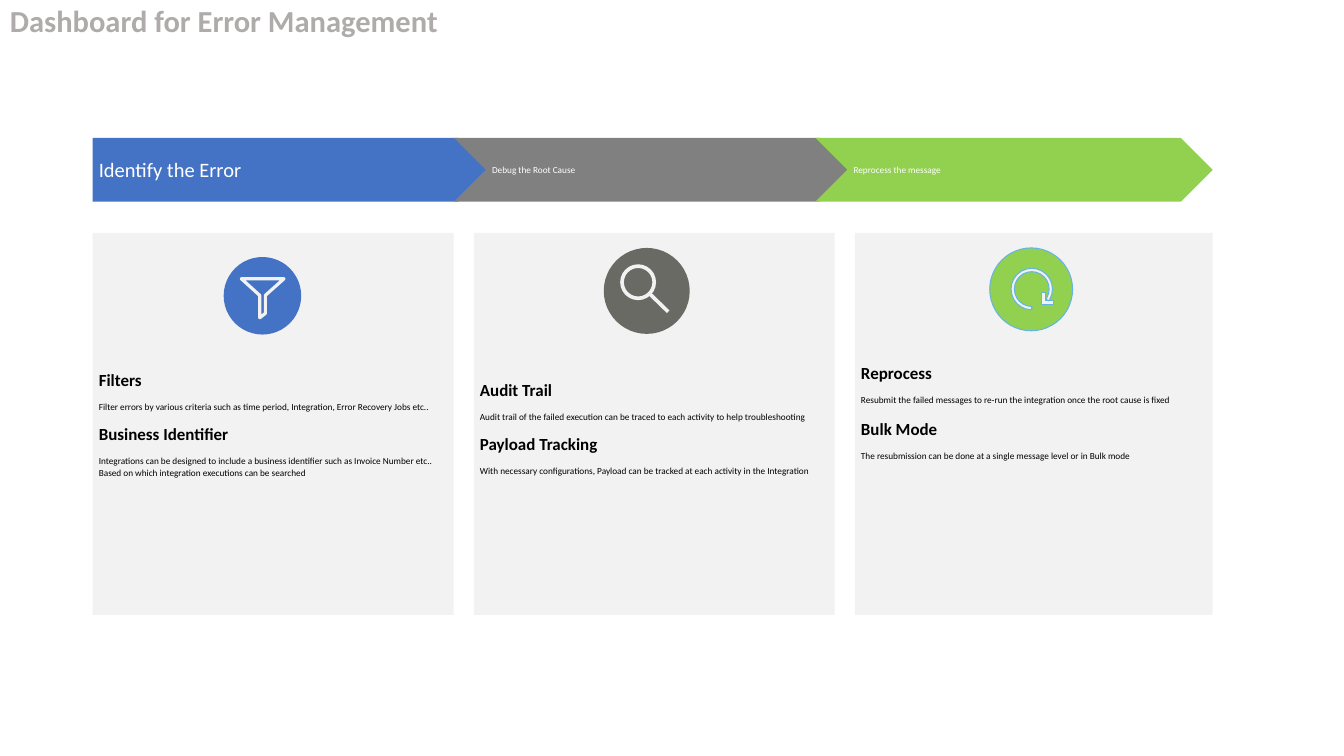
from pptx import Presentation
from pptx.dml.color import RGBColor
from pptx.enum.shapes import MSO_CONNECTOR, MSO_SHAPE
from pptx.enum.text import MSO_ANCHOR, PP_ALIGN
from pptx.oxml import parse_xml
from pptx.oxml.ns import nsdecls
from pptx.util import Pt

BLUE = RGBColor(0x44, 0x72, 0xC4)
GREY = RGBColor(0x80, 0x80, 0x80)
GREEN = RGBColor(0x92, 0xD0, 0x50)
DARK_GREY = RGBColor(0x6A, 0x6A, 0x65)
PANEL_GREY = RGBColor(0xF2, 0xF2, 0xF2)
TITLE_GREY = RGBColor(0xAF, 0xAB, 0xAB)
SKY = RGBColor(0x62, 0xB5, 0xE5)
WHITE = RGBColor(0xFF, 0xFF, 0xFF)
BLACK = RGBColor(0x00, 0x00, 0x00)

LEFT = 66.2
INSET = 4.4

deck = Presentation()
deck.slide_width, deck.slide_height = Pt(960), Pt(540)
page = deck.slides.add_slide(deck.slide_layouts[6])


def paint(shape, fill=None, line=None, weight=0.75):
    shape.shadow.inherit = False
    if fill is None:
        shape.fill.background()
    else:
        shape.fill.solid()
        shape.fill.fore_color.rgb = fill
    if line is None:
        shape.line.fill.background()
    else:
        shape.line.color.rgb = line
        shape.line.width = Pt(weight)


def write(shape, lines, color, inset=INSET):
    """Fill a shape with (text, size, bold, space after) lines."""
    frame = shape.text_frame
    frame.word_wrap = True
    frame.vertical_anchor = MSO_ANCHOR.MIDDLE
    frame.margin_left = frame.margin_right = Pt(inset)
    frame.margin_top = frame.margin_bottom = Pt(INSET)
    for index, (text, size, bold, space_after) in enumerate(lines):
        para = frame.add_paragraph() if index else frame.paragraphs[0]
        para.text = text
        para.alignment = PP_ALIGN.LEFT
        para.space_after = Pt(space_after)
        font = para.runs[0].font
        font.name, font.size, font.bold = "Calibri", Pt(size), bold
        font.color.rgb = color


# Title
title = page.shapes.add_textbox(0, Pt(0.7), Pt(809), Pt(30.2))
write(title, [("Dashboard for Error Management", 21.8, True, 0)], TITLE_GREY, 7.2)
title.text_frame.paragraphs[0].line_spacing = 0.9

# Process arrows
steps = [
    ("Identify the Error", MSO_SHAPE.PENTAGON, BLUE, 14.6),
    ("Debug the Root Cause", MSO_SHAPE.CHEVRON, GREY, 6.6),
    ("Reprocess the message", MSO_SHAPE.CHEVRON, GREEN, 6.6),
]
for column, (label, preset, color, size) in enumerate(steps):
    arrow = page.shapes.add_shape(
        preset, Pt(LEFT + 258.2 * column), Pt(98.6), Pt(283.7), Pt(45.4))
    paint(arrow, color)
    write(arrow, [(label, size, False, 0)], WHITE)

# Panels: width, extra top and bottom margin, gap after first text, heading/text pairs
panels = [
    (257.8, 0, 0, 8.1, [
        ("Filters", "Filter errors by various criteria such as time period, "
         "Integration, Error Recovery Jobs etc.."),
        ("Business Identifier", "Integrations can be designed to include a business "
         "identifier such as Invoice Number etc.. Based on which integration "
         "executions can be searched")]),
    (257.8, 22.9, 17, 8.1, [
        ("Audit Trail", "Audit trail of the failed execution can be traced to each "
         "activity to help troubleshooting"),
        ("Payload Tracking", "With necessary configurations, Payload can be tracked "
         "at each activity in the Integration")]),
    (255.6, 0, 17, 8.9, [
        ("Reprocess", "Resubmit the failed messages to re-run the integration once "
         "the root cause is fixed"),
        ("Bulk Mode", "The resubmission can be done at a single message level or in "
         "Bulk mode")]),
]
for column, (width, top, bottom, gap, topics) in enumerate(panels):
    panel = page.shapes.add_shape(
        MSO_SHAPE.RECTANGLE, Pt(LEFT + 272.2 * column), Pt(166.3), Pt(width), Pt(272.9))
    paint(panel, PANEL_GREY)
    lines = []
    for heading, detail in topics:
        lines += [(heading, 12.1, True, 8.1), (detail, 6.6, False, gap)]
    write(panel, lines, BLACK)
    panel.text_frame.margin_top = Pt(INSET + top)
    panel.text_frame.margin_bottom = Pt(INSET + bottom)

# Icon discs
for x, y, size, color, line in [
        (159.8, 183.6, 55.4, BLUE, None),
        (431.3, 177.1, 61.4, DARK_GREY, None),
        (707, 177.1, 59.2, GREEN, SKY)]:
    disc = page.shapes.add_shape(MSO_SHAPE.OVAL, Pt(x), Pt(y), Pt(size), Pt(size))
    paint(disc, color, line)

# Funnel and arrow tip
funnel = [(172.4, 199.1), (202.9, 199.1), (189.6, 211), (189.6, 223.9),
          (185.5, 227), (185.5, 211)]
tip = [(743.8, 208.8), (746.6, 208.8), (746.6, 215), (752.4, 215),
       (752.4, 217.4), (743.8, 217.4)]
for points, fill, line, weight in [(funnel, BLUE, PANEL_GREY, 2.3),
                                   (tip, PANEL_GREY, SKY, 0.75)]:
    corners = [(Pt(x), Pt(y)) for x, y in points]
    builder = page.shapes.build_freeform(*corners[0])
    builder.add_line_segments(corners[1:], close=True)
    paint(builder.convert_to_shape(), fill, line, weight)

# Magnifier
lens = page.shapes.add_shape(MSO_SHAPE.OVAL, Pt(444.3), Pt(190.1), Pt(23), Pt(23))
paint(lens, DARK_GREY, PANEL_GREY, 2.6)
handle = page.shapes.add_connector(
    MSO_CONNECTOR.STRAIGHT, Pt(464.4), Pt(210.2), Pt(477.3), Pt(222.7))
handle.line.color.rgb = PANEL_GREY
handle.line.width = Pt(2.6)
handle._element.spPr.append(parse_xml(f"<a:effectLst {nsdecls('a')}/>"))

# Reprocess loop: clockwise from 90 to 35 degrees
loop = page.shapes.add_shape(
    MSO_SHAPE.BLOCK_ARC, Pt(722.2), Pt(191.7), Pt(29.6), Pt(29.6))
loop.adjustments[0] = 90 * 0.6
loop.adjustments[1] = 35 * 0.6
loop.adjustments[2] = 0.08
paint(loop, PANEL_GREY, SKY)

deck.save("out.pptx")
